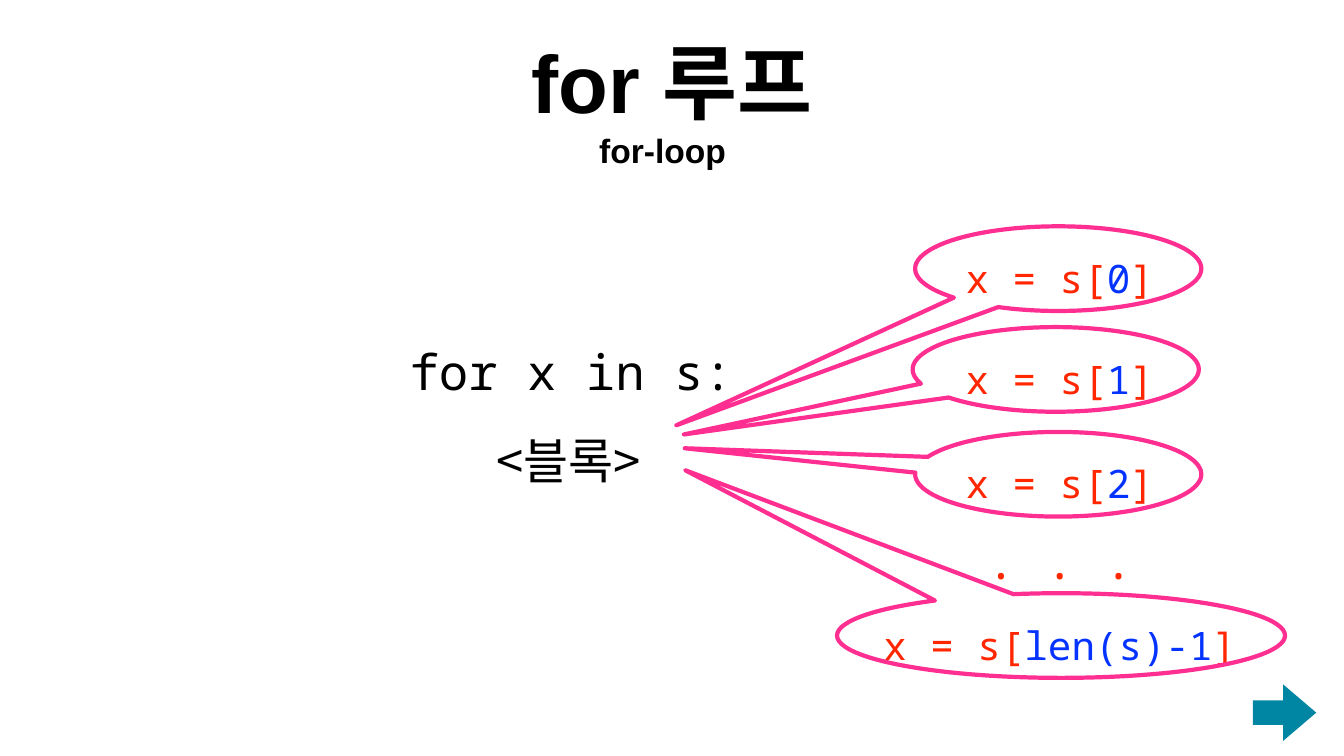
from pptx import Presentation
from pptx.dml.color import RGBColor
from pptx.enum.shapes import MSO_SHAPE
from pptx.enum.text import MSO_ANCHOR, MSO_AUTO_SIZE, PP_ALIGN
from pptx.oxml.ns import qn
from pptx.util import Emu, Pt
from lxml import etree

PX = 9144  # 100 px to the inch
CENTER, LEFT = PP_ALIGN.CENTER, PP_ALIGN.LEFT
BOTTOM, MIDDLE = MSO_ANCHOR.BOTTOM, MSO_ANCHOR.MIDDLE
FIT_SHAPE = MSO_AUTO_SIZE.SHAPE_TO_FIT_TEXT
CALLOUT, ARROW = MSO_SHAPE.OVAL_CALLOUT, MSO_SHAPE.RIGHT_ARROW

BLACK = RGBColor(0, 0, 0)
WHITE = RGBColor(0xFF, 0xFF, 0xFF)
RED = RGBColor(0xFF, 0x26, 0x00)
BLUE = RGBColor(0x04, 0x33, 0xFF)
PINK = RGBColor(0xFF, 0x2F, 0x92)
TEAL = RGBColor(0x00, 0x86, 0xA2)
SANS, MONO, KOREAN = "Arial", "Noto Sans Mono", "Noto Sans CJK KR"

# text, box, size
HEADINGS = [
    ("for-loop", (1182, 207, 266, 136), 48),
    ("for 루프", (1024, 48, 620, 216), 116.4),
]
LOOP_BOX = (803, 646, 661, 298)
LOOP_LINES = [
    ("for x in s:", MONO, CENTER),
    ("        <블록>", KOREAN, LEFT),
]
# index, callout left, top, width, pointer adjustments, text width
STEPS = [
    ("1", 1811, 649, 568, (-1.299, 0.768), 392),
    ("2", 1816, 857, 568, (-1.305, -0.307), 392),
    ("0", 1816, 449, 568, (-1.334, 1.85), 392),
    ("len(s)-1", 1661, 1177, 889, (-0.839, -1.953), 720),
]
STEP_CENTER = 2103
CALLOUT_HEIGHT, STEP_TEXT_HEIGHT, STEP_TEXT_DROP = 168, 107, 25
DOTS_BOX = (1948, 1016, 310, 130)
ARROW_BOX = (2486, 1358, 126, 112)


def emu(box):
    return [Emu(length * PX) for length in box]


def add_text(slide, box, lines, size, anchor=MIDDLE, inset=8, spacing=1.5, wrap=False):
    """Each line is (alignment, runs); each run is (text, font, colour, bold)."""
    shape = slide.shapes.add_textbox(*emu(box))
    frame = shape.text_frame
    frame.word_wrap = wrap
    if not wrap:
        frame.auto_size = FIT_SHAPE
    frame.vertical_anchor = anchor
    frame.margin_left = frame.margin_right = Emu(inset * PX)
    frame.margin_top = frame.margin_bottom = Emu(inset * PX)
    for number, (alignment, runs) in enumerate(lines):
        paragraph = frame.add_paragraph() if number else frame.paragraphs[0]
        paragraph.alignment = alignment
        paragraph.line_spacing = spacing
        for text, font, colour, bold in runs:
            run = paragraph.add_run()
            run.text = text
            run.font.name = font
            run.font.size = Pt(size)
            run.font.bold = bold
            run.font.color.rgb = colour
            east_asian = etree.SubElement(run.font._element, qn("a:ea"))
            east_asian.set("typeface", KOREAN)
    return shape


def add_outline(slide, kind, box, adjustments):
    shape = slide.shapes.add_shape(kind, *emu(box))
    shape.shadow.inherit = False
    for number, value in enumerate(adjustments):
        shape.adjustments[number] = value
    return shape


def add_step(slide, index, left, top, width, pointer, text_width):
    text_box = (STEP_CENTER - text_width // 2, top + STEP_TEXT_DROP,
                text_width, STEP_TEXT_HEIGHT)
    parts = [("x = s[", RED), (index, BLUE), ("]", RED)]
    runs = [(text, MONO, colour, False) for text, colour in parts]
    add_text(slide, text_box, [(CENTER, runs)], 56)
    callout = add_outline(slide, CALLOUT, (left, top, width, CALLOUT_HEIGHT), pointer)
    callout.fill.background()
    callout.line.color.rgb = PINK
    callout.line.width = Pt(6)


def main():
    presentation = Presentation()
    presentation.slide_width, presentation.slide_height = emu((2667, 1500))
    slide = presentation.slides.add_slide(presentation.slide_layouts[6])

    for text, box, size in HEADINGS:
        heading = add_text(slide, box, [(CENTER, [(text, SANS, BLACK, True)])], size,
                           anchor=BOTTOM, inset=6, spacing=1.0, wrap=True)
        heading.fill.solid()
        heading.fill.fore_color.rgb = WHITE

    arrow = add_outline(slide, ARROW, ARROW_BOX, (0.435, 0.586))
    arrow.fill.solid()
    arrow.fill.fore_color.rgb = TEAL
    arrow.line.fill.background()

    loop = [(alignment, [(text, font, BLACK, False)])
            for text, font, alignment in LOOP_LINES]
    add_text(slide, LOOP_BOX, loop, 70)
    for step in STEPS:
        add_step(slide, *step)
    add_text(slide, DOTS_BOX, [(CENTER, [(". . .", MONO, RED, False)])], 70)

    presentation.save("out.pptx")


if __name__ == "__main__":
    main()
